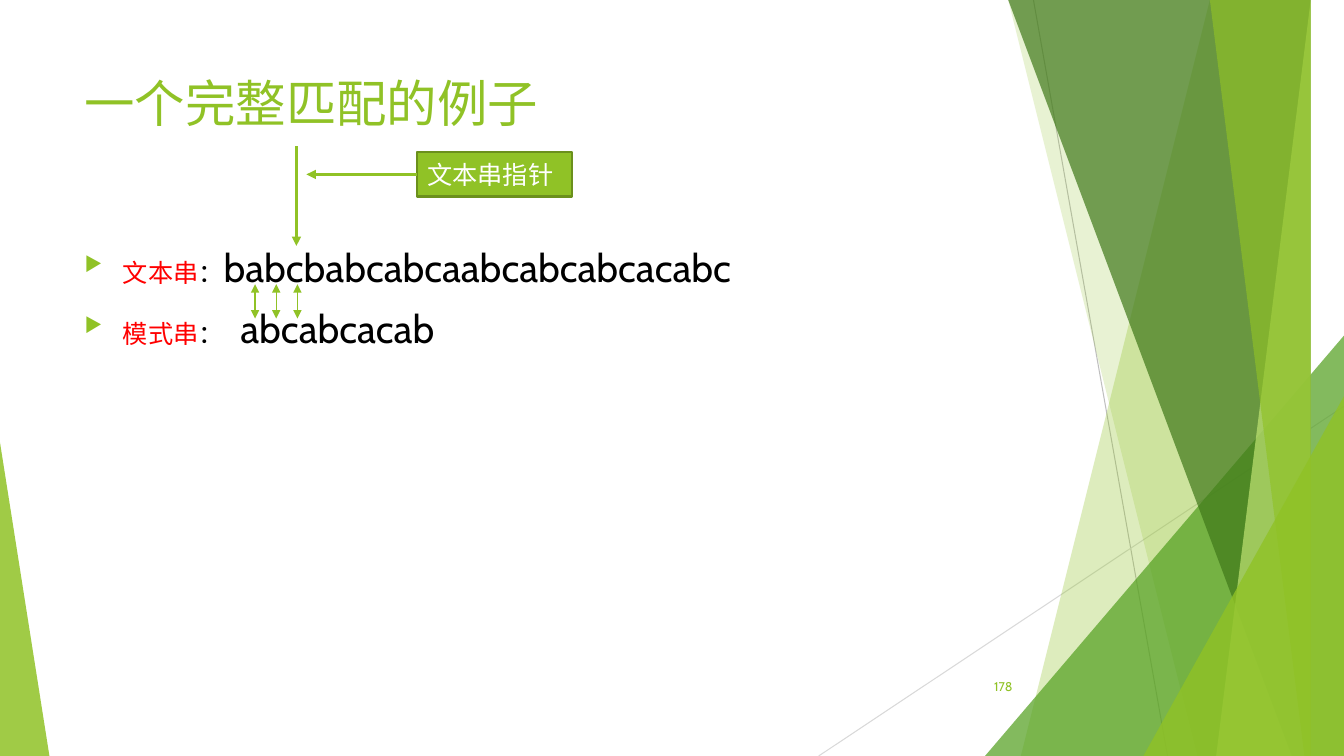
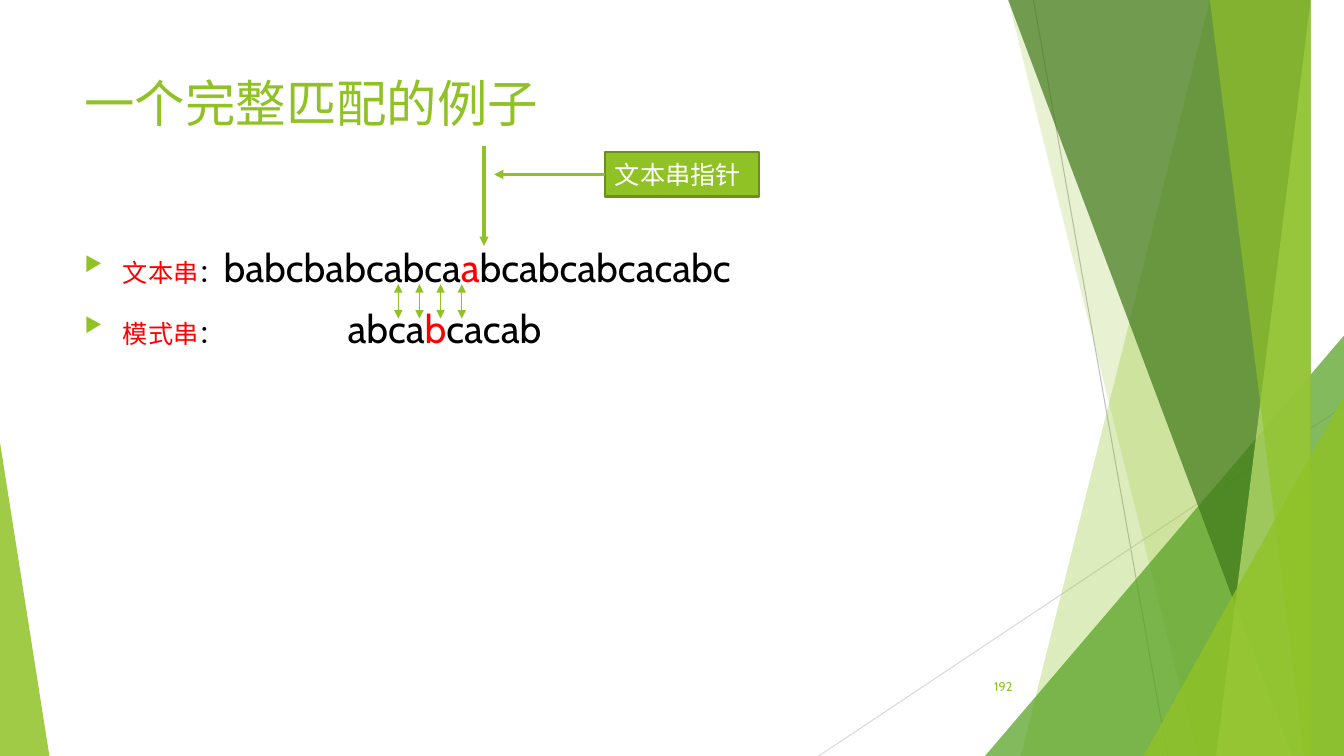
from dataclasses import dataclass

from lxml import etree
from pptx import Presentation
from pptx import util as u
from pptx.dml.color import RGBColor
from pptx.enum import shapes, text
from pptx.oxml import ns

SHAPE = shapes.MSO_SHAPE


@dataclass(frozen=True)
class Theme:
    font: str = "Cabin"
    green: str = "90C226"
    leaf: str = "54A021"
    forest: str = "3F7819"
    lime: str = "C0E474"
    edge: str = "6B901C"
    gray: str = "BFBFBF"
    pale_gray: str = "D9D9D9"
    white: str = "FFFFFF"
    ink: str = "000000"
    hot: str = "FF0000"
    title_size: float = 36
    label_size: float = 18
    string_size: float = 28
    number_size: float = 9


T = Theme()
WIDTH, HEIGHT = 13.33, 7.5
TITLE_BOX = (0.74, 0.67, 9.4, 1.44)
BODY_BOX = (0.74, 2.36, 9.4, 4.24)
NUMBER_BOX = (9.39, 6.61, 0.75, 0.4)
TITLE = "一个完整匹配的例子"
TEXT_STRING = "babcbabcabcaabcabcabcacabc"
PATTERN = "abcabcacab"

# Side bands: top left x, bottom left x, colour, opacity; all reach the right edge
PALE_BANDS = [(12.28, 10.04, T.green, 30), (10.5, 11.83, T.green, 20)]
DARK_BANDS = [(10.21, 12.91, T.forest, 70), (13.03, 11.92, T.lime, 70),
              (11.96, 13.18, T.green, 65)]


# Basic parts
def rgb(value):
    return RGBColor.from_string(value)


def sub(parent, tag, **attrs):
    return etree.SubElement(parent, ns.qn(tag), attrs)


def paint(sp, color, opacity=100):
    sp.shadow.inherit = False
    sp.line.fill.background()
    sp.fill.solid()
    sp.fill.fore_color.rgb = rgb(color)
    if opacity < 100:
        clr = sp.fill._xPr.find(".//" + ns.qn("a:srgbClr"))
        sub(clr, "a:alpha", val=str(opacity * 1000))


def add_line(slide, start, end, color, width, head=False, tail=False):
    points = [u.Inches(v) for v in (*start, *end)]
    line = slide.shapes.add_connector(shapes.MSO_CONNECTOR.STRAIGHT, *points)
    line.line.color.rgb = rgb(color)
    line.line.width = u.Pt(width)
    ln = line.line._get_or_add_ln()
    if head:
        sub(ln, "a:headEnd", type="triangle")
    if tail:
        sub(ln, "a:tailEnd", type="triangle")
    sub(line._element.spPr, "a:effectLst")
    return line


def style(font, size=None, color=None):
    if size:
        font.size = u.Pt(size)
    if color:
        font.color.rgb = rgb(color)


def add_text(slide, box, words, size, anchor, align=text.PP_ALIGN.LEFT):
    sp = slide.shapes.add_textbox(*map(u.Inches, box))
    tf = sp.text_frame
    tf.word_wrap = True
    tf.vertical_anchor = anchor
    p = tf.paragraphs[0]
    p.text = words
    p.alignment = align
    p.font.name = T.font
    style(p.font, size, T.green)


# Shared background
def add_band(slide, top_x, bottom_x, color, opacity):
    fb = slide.shapes.build_freeform(top_x, 0, scale=u.Inches(1))
    fb.add_line_segments([(WIDTH, 0), (WIDTH, HEIGHT), (bottom_x, HEIGHT)])
    paint(fb.convert_to_shape(), color, opacity)


def add_corner(slide, left, top, width, apex, color, opacity):
    box = (left, top, width, HEIGHT - top)
    sp = slide.shapes.add_shape(SHAPE.ISOSCELES_TRIANGLE, *map(u.Inches, box))
    sp.adjustments[0] = apex
    paint(sp, color, opacity)


def add_background(slide):
    add_line(slide, (10.25, 0), (11.58, HEIGHT), T.gray, 0.75)
    add_line(slide, (WIDTH, 4.03), (8.12, HEIGHT), T.pale_gray, 0.75)
    for band in PALE_BANDS:
        add_band(slide, *band)
    add_corner(slide, 9.77, 3.33, 3.56, 1, T.leaf, 72)
    for band in DARK_BANDS:
        add_band(slide, *band)
    add_corner(slide, 11.34, 3.93, 1.99, 1, T.green, 80)
    add_corner(slide, 0, 4.39, 0.49, 0, T.green, 85)


# The two strings, with the mismatched letter in red
def add_bullet(p):
    pPr = p._p.get_or_add_pPr()
    pPr.set("marL", str(u.Inches(0.38)))
    pPr.set("indent", str(-u.Inches(0.38)))
    sub(sub(pPr, "a:buClr"), "a:srgbClr", val=T.green)
    sub(pPr, "a:buSzPct", val="80000")
    sub(pPr, "a:buChar", char="▶")


def add_run(p, words, size, color):
    r = p.add_run()
    r.text = words
    style(r.font, size, color)
    return r


def add_string(p, label, gap, letters, miss):
    add_bullet(p)
    p.font.name = T.font
    add_run(p, label, T.label_size, T.hot)
    colon = add_run(p, "：", T.label_size, T.ink)
    if gap:  # character spacing slides the string to the right, in points
        colon.font._element.set("spc", str(int(gap * 100)))
    if miss is None:
        add_run(p, letters, T.string_size, T.ink)
        return
    add_run(p, letters[:miss], T.string_size, T.ink)
    add_run(p, letters[miss], T.string_size, T.hot)
    add_run(p, letters[miss + 1:], T.string_size, T.ink)


def add_strings(slide, box, shift, text_miss, pattern_miss):
    tf = slide.shapes.add_textbox(*map(u.Inches, box)).text_frame
    tf.word_wrap = True
    add_string(tf.paragraphs[0], "文本串", 0, TEXT_STRING, text_miss)
    p = tf.add_paragraph()
    p.space_before = u.Pt(10)
    add_string(p, "模式串", shift, PATTERN, pattern_miss)


# Double arrows between matching letters
def add_matches(slide, left, top, count, step=0.21, height=0.34):
    for i in range(count):
        x = left + i * step
        add_line(slide, (x, top), (x, top + height), T.green, 1, True, True)


# Text pointer: label, arrow to the pointer, pointer
def add_pointer(slide, x, top):
    box = (x + 1.2, top + 0.06, 1.53, 0.44)
    sp = slide.shapes.add_shape(SHAPE.RECTANGLE, *map(u.Inches, box))
    paint(sp, T.green)
    sp.line.color.rgb = rgb(T.edge)
    sp.line.width = u.Pt(1.5)
    tf = sp.text_frame
    tf.word_wrap = True
    tf.vertical_anchor = text.MSO_ANCHOR.MIDDLE
    p = tf.paragraphs[0]
    p.text = "文本串指针"
    p.alignment = text.PP_ALIGN.LEFT
    p.font.name = T.font
    style(p.font, T.label_size, T.white)
    y = top + 0.28
    arrow = add_line(slide, (x + 1.2, y), (x + 0.1, y), T.green, 2.25, tail=True)
    arrow.begin_connect(sp, 1)
    add_line(slide, (x, top), (x, top + 0.99), T.green, 2.25, tail=True)


def add_match_slide(prs, number, shift, pointer_x, match_x, matches,
                    text_miss=None, pattern_miss=None):
    slide = prs.slides.add_slide(prs.slide_layouts[6])
    add_background(slide)
    add_text(slide, TITLE_BOX, TITLE, T.title_size, text.MSO_ANCHOR.TOP)
    add_strings(slide, BODY_BOX, shift, text_miss, pattern_miss)
    add_text(slide, NUMBER_BOX, number, T.number_size,
             text.MSO_ANCHOR.MIDDLE, text.PP_ALIGN.RIGHT)
    add_matches(slide, match_x, 2.82, matches)
    add_pointer(slide, pointer_x, 1.45)


def main():
    prs = Presentation()
    prs.slide_width, prs.slide_height = u.Inches(WIDTH), u.Inches(HEIGHT)
    add_match_slide(prs, "178", shift=12, pointer_x=2.94, match_x=2.53, matches=3)
    add_match_slide(prs, "192", shift=88.5, pointer_x=4.8, match_x=3.95, matches=4,
                    text_miss=12, pattern_miss=4)
    prs.save("out.pptx")


if __name__ == "__main__":
    main()
